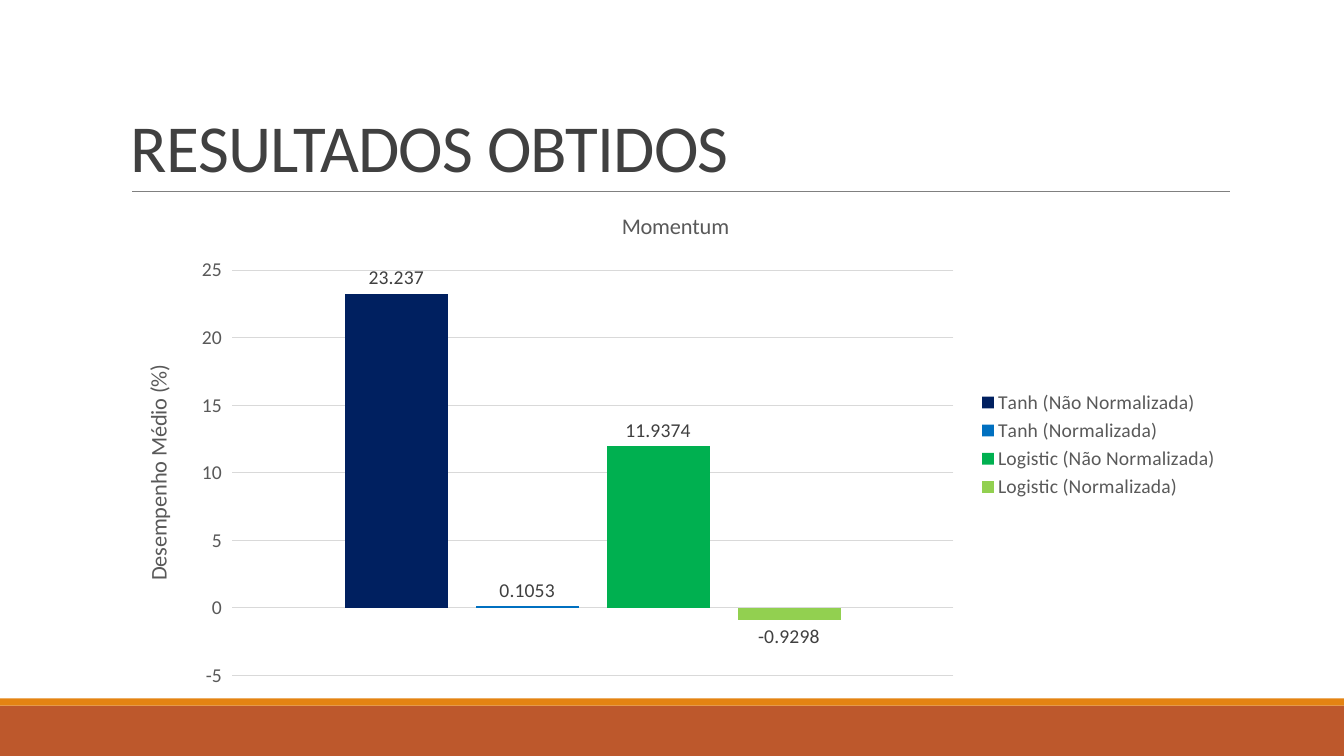
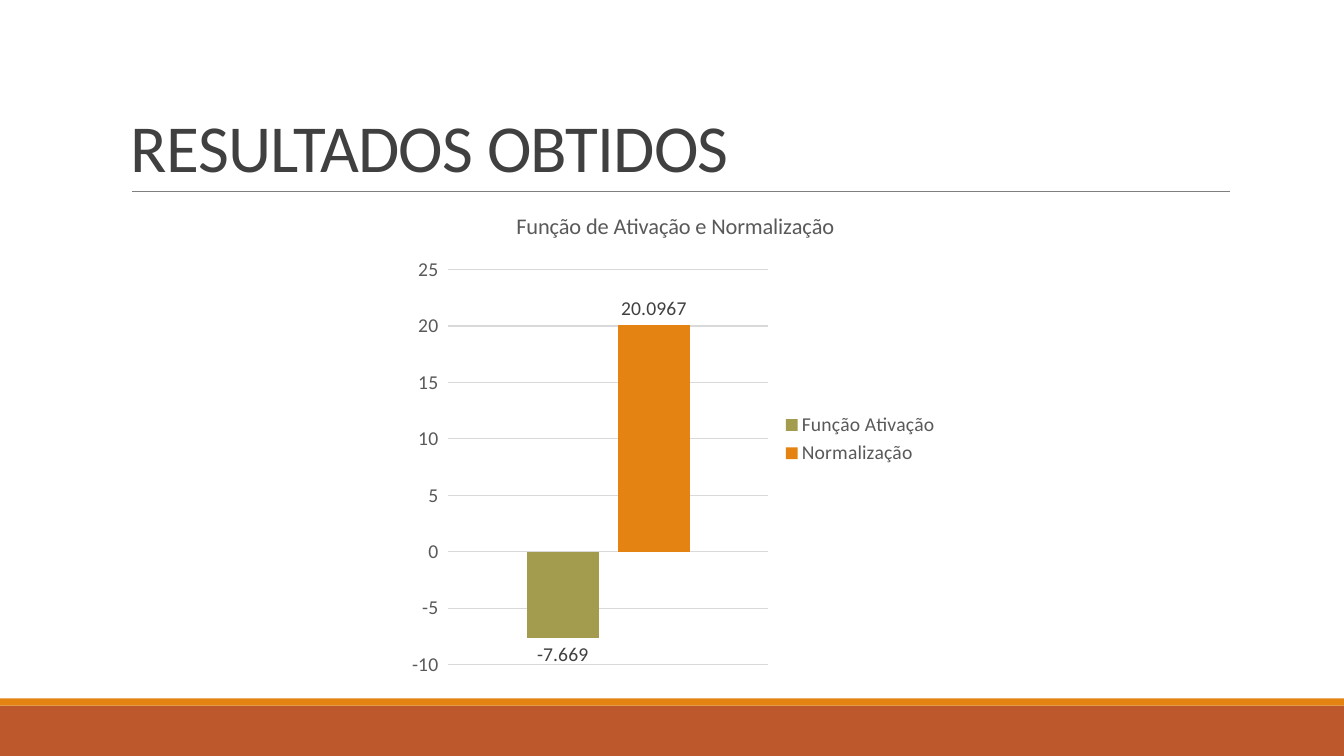
from lxml.etree import SubElement
from pptx import Presentation
from pptx.chart.data import CategoryChartData
from pptx.dml.color import RGBColor
from pptx.enum.chart import XL_CHART_TYPE, XL_LABEL_POSITION, XL_LEGEND_POSITION
from pptx.enum.shapes import MSO_CONNECTOR, MSO_SHAPE
from pptx.enum.text import MSO_ANCHOR
from pptx.oxml import parse_xml
from pptx.oxml.ns import nsdecls, qn
from pptx.util import Cm, Pt

# Shared style
FONT = "Calibri"
RUST = RGBColor(0xBD, 0x58, 0x2C)
ORANGE = RGBColor(0xE4, 0x83, 0x12)
OLIVE = RGBColor(0xA3, 0x9B, 0x4E)
NAVY = RGBColor(0x00, 0x20, 0x60)
BLUE = RGBColor(0x00, 0x70, 0xC0)
GREEN = RGBColor(0x00, 0xB0, 0x50)
LIME = RGBColor(0x92, 0xD0, 0x50)
DARK = RGBColor(0x40, 0x40, 0x40)
TEXT_GRAY = RGBColor(0x59, 0x59, 0x59)
RULE_GRAY = RGBColor(0x80, 0x80, 0x80)
GRID_GRAY = RGBColor(0xD9, 0xD9, 0xD9)
SLIDE_W, SLIDE_H = Cm(33.87), Cm(19.05)
RULE_Y = Cm(4.83)


def style_font(font, size, color):
    font.name = FONT
    font.size = Pt(size)
    font.bold = False
    font.color.rgb = color


def add_band(s, top, height, color):
    sp = s.shapes.add_shape(MSO_SHAPE.RECTANGLE, 0, top, SLIDE_W, height)
    sp.shadow.inherit = False
    sp.fill.solid()
    sp.fill.fore_color.rgb = color
    sp.line.fill.background()


def add_rule(s):
    line = s.shapes.add_connector(
        MSO_CONNECTOR.STRAIGHT, Cm(3.33), RULE_Y, Cm(31), RULE_Y)
    line.line.color.rgb = RULE_GRAY
    line.line.width = Pt(0.5)
    SubElement(line._element.spPr, qn("a:effectLst"))


def add_title(s, text):
    tf = s.shapes.add_textbox(Cm(3.05), Cm(0.79), Cm(27.94), Cm(4.04)).text_frame
    tf.word_wrap = True
    tf.vertical_anchor = MSO_ANCHOR.BOTTOM
    p = tf.paragraphs[0]
    p.text = text
    p.line_spacing = 0.85
    style_font(p.font, 48, DARK)
    p.font._element.set("spc", "-50")


def add_slide(prs, title):
    s = prs.slides.add_slide(prs.slide_layouts[6])
    add_band(s, Cm(17.78), Cm(1.27), RUST)
    add_band(s, Cm(17.6), Cm(0.18), ORANGE)
    add_rule(s)
    add_title(s, title)
    return s


def set_chart_text(tf, text):
    p = tf.paragraphs[0]
    p.text = text
    style_font(p.font, 16, TEXT_GRAY)


def style_value_axis(axis, low, title):
    axis.minimum_scale, axis.maximum_scale, axis.major_unit = low, 25, 5
    axis.format.line.fill.background()
    grid = axis.major_gridlines.format.line
    grid.color.rgb = GRID_GRAY
    grid.width = Pt(0.75)
    style_font(axis.tick_labels.font, 14, TEXT_GRAY)
    if title:
        tf = axis.axis_title.text_frame
        set_chart_text(tf, title)
        body = tf._txBody.find(qn("a:bodyPr"))
        body.set("rot", "-5400000")
        body.set("vert", "horz")


def style_series(series, color):
    series.invert_if_negative = False
    series.format.fill.solid()
    series.format.fill.fore_color.rgb = color
    labels = series.data_labels
    labels.show_value = True
    labels.position = XL_LABEL_POSITION.OUTSIDE_END
    style_font(labels.font, 14, DARK)


def add_column_chart(s, box, title, columns, low, axis_title=None):
    data = CategoryChartData()
    data.categories = ["1"]
    for name, value, _ in columns:
        data.add_series(name, [value])
    chart = s.shapes.add_chart(XL_CHART_TYPE.COLUMN_CLUSTERED, *box, data).chart
    style_font(chart.font, 14, TEXT_GRAY)
    # Transparent background keeps the title rule visible
    chart._chartSpace.chart.addnext(parse_xml(
        f'<c:spPr {nsdecls("c", "a")}><a:noFill/><a:ln><a:noFill/></a:ln></c:spPr>'))

    chart.has_title = True
    set_chart_text(chart.chart_title.text_frame, title)
    chart.has_legend = True
    chart.legend.position = XL_LEGEND_POSITION.RIGHT
    chart.legend.include_in_layout = False
    style_font(chart.legend.font, 14, TEXT_GRAY)
    chart.category_axis.visible = False
    style_value_axis(chart.value_axis, low, axis_title)

    plot = chart.plots[0]
    plot.vary_by_categories = False
    plot.gap_width, plot.overlap = 219, -27
    for series, (_, _, color) in zip(plot.series, columns):
        style_series(series, color)


def main():
    prs = Presentation()
    prs.slide_width, prs.slide_height = SLIDE_W, SLIDE_H

    # Momentum
    s = add_slide(prs, "RESULTADOS OBTIDOS")
    add_column_chart(
        s, (Cm(3.05), RULE_Y, Cm(27.94), Cm(12.75)), "Momentum",
        [("Tanh (Não Normalizada)", 23.237, NAVY),
         ("Tanh (Normalizada)", 0.1053, BLUE),
         ("Logistic (Não Normalizada)", 11.9374, GREEN),
         ("Logistic (Normalizada)", -0.9298, LIME)],
        low=-5, axis_title="Desempenho Médio (%)")

    # Activation function and normalisation
    s = add_slide(prs, "RESULTADOS OBTIDOS")
    add_column_chart(
        s, (Cm(10.11), RULE_Y, Cm(13.82), Cm(12.47)),
        "Função de Ativação e Normalização",
        [("Função Ativação", -7.669, OLIVE),
         ("Normalização", 20.0967, ORANGE)],
        low=-10)

    prs.save("out.pptx")


main()
